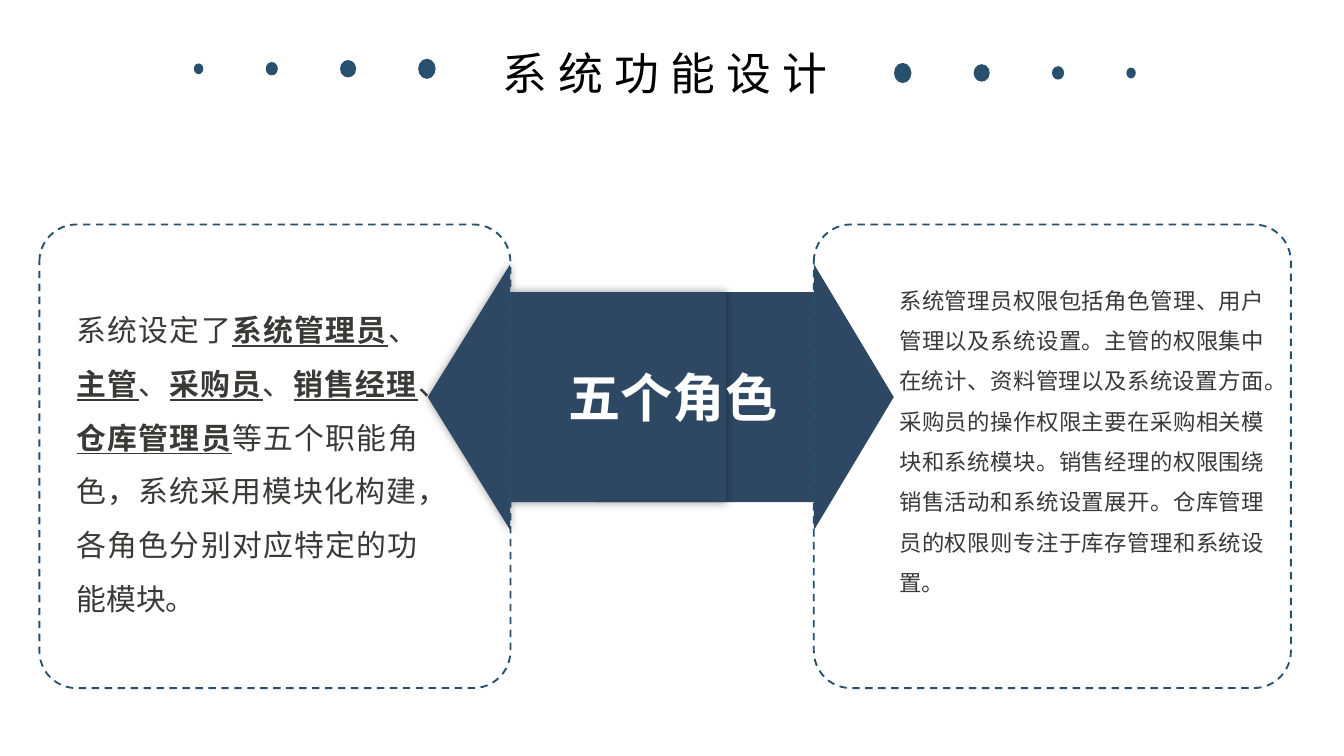
from copy import deepcopy
from dataclasses import dataclass

from lxml.etree import SubElement
from pptx import Presentation
from pptx.dml.color import RGBColor
from pptx.enum.dml import MSO_LINE
from pptx.enum.shapes import MSO_SHAPE
from pptx.enum.text import MSO_AUTO_SIZE, PP_ALIGN
from pptx.oxml.ns import qn
from pptx.util import Inches, Pt


@dataclass(frozen=True)
class Theme:
    font: str = "Noto Sans CJK SC"
    accent: str = "27506E"
    arrow: str = "2E4864"
    body: str = "3B3838"
    title: str = "000000"
    light: str = "FFFFFF"
    title_size: int = 24
    label_size: int = 28
    roles_size: int = 16
    rights_size: int = 12


class SlideBuilder:
    CELL = 0.1

    def __init__(self, prs, theme):
        self.theme = theme
        self.s = prs.slides.add_slide(prs.slide_layouts[6])

    def place(self, *box):
        return [Inches(v * self.CELL) for v in box]

    def shape(self, kind, box, fill=None, adjustments=()):
        sp = self.s.shapes.add_shape(kind, *self.place(*box))
        sp.shadow.inherit = False
        for i, value in enumerate(adjustments):
            sp.adjustments[i] = value
        if fill:
            sp.fill.solid()
            sp.fill.fore_color.rgb = RGBColor.from_string(fill)
        else:
            sp.fill.background()
        sp.line.fill.background()
        return sp

    def dot(self, cx, cy, w, h):
        self.shape(MSO_SHAPE.OVAL, (cx - w / 2, cy - h / 2, w, h), self.theme.accent)

    def arrow(self, col, head, left=False):
        sp = self.shape(MSO_SHAPE.RIGHT_ARROW, (col, 19.65, 22.2, 19.8),
                        self.theme.arrow, (0.79, head))
        if left:
            sp._element.spPr.find(qn("a:xfrm")).set("flipH", "1")
            effects = sp._element.spPr.find(qn("a:effectLst"))
            shadow = SubElement(effects, qn("a:outerShdw"), blurRad=str(Pt(5)),
                                dist="0", dir="0", algn="ctr", rotWithShape="0")
            color = SubElement(shadow, qn("a:srgbClr"), val="000000")
            SubElement(color, qn("a:alpha"), val="40000")

    def card(self, col, width):
        sp = self.shape(MSO_SHAPE.ROUNDED_RECTANGLE, (col, 16.7, width, 34.5),
                        adjustments=(0.08,))
        sp.line.color.rgb = RGBColor.from_string(self.theme.accent)
        sp.line.width = Pt(1)
        sp.line.dash_style = MSO_LINE.DASH

    def text(self, box, runs, size, color, align, spacing=None, bold=None,
             tracking=None, inset=False):
        tf = self.s.shapes.add_textbox(*self.place(*box)).text_frame
        tf.word_wrap = not inset
        tf.auto_size = MSO_AUTO_SIZE.SHAPE_TO_FIT_TEXT
        if not inset:
            tf.margin_left = tf.margin_right = tf.margin_top = tf.margin_bottom = 0
        p = tf.paragraphs[0]
        p.alignment = align
        p.line_spacing = spacing
        p.font.name = self.theme.font
        p.font.size = Pt(size)
        p.font.bold = bold
        p.font.color.rgb = RGBColor.from_string(color)
        style = p._p.pPr.find(qn("a:defRPr"))
        SubElement(style, qn("a:ea"), typeface=self.theme.font)
        if tracking:
            style.set("spc", str(tracking * 100))
        for content, emphasis in runs:
            r = p.add_run()
            r.text = content
            rPr = r._r.get_or_add_rPr()
            rPr.attrib.update(style.attrib)
            rPr.extend(deepcopy(child) for child in style)
            if emphasis:
                r.font.bold = r.font.underline = True


def main():
    prs = Presentation()
    prs.slide_width = Inches(10)
    prs.slide_height = prs.slide_width * 9 // 16
    theme = Theme()
    b = SlideBuilder(prs, theme)

    dots = [(14.78, 0.7, 0.8), (20.22, 0.9, 1), (25.9, 1.2, 1.3), (31.77, 1.3, 1.5)]
    for cx, w, h in dots:
        b.dot(cx, 5.12, w, h)
        b.dot(98.94 - cx, 5.43, w, h)
    b.text((36, 2.9, 27, 5), [("系统功能设计", False)], theme.title_size,
           theme.title, PP_ALIGN.CENTER, tracking=6, inset=True)

    b.arrow(44.3, 0.3)
    b.arrow(31.83, 0.31, left=True)

    rights = ("系统管理员权限包括角色管理、用户管理以及系统设置。"
              "主管的权限集中在统计、资料管理以及系统设置方面。"
              "采购员的操作权限主要在采购相关模块和系统模块。"
              "销售经理的权限围绕销售活动和系统设置展开。"
              "仓库管理员的权限则专注于库存管理和系统设置。")
    b.text((66.9, 20.35, 27.2, 24.2), [(rights, False)], theme.rights_size,
           theme.body, PP_ALIGN.JUSTIFY, spacing=1.5)

    roles = [("系统设定了", False)]
    for role in ("系统管理员", "主管", "采购员", "销售经理"):
        roles += [(role, True), ("、", False)]
    roles += [("仓库管理员", True),
              ("等五个职能角色，系统采用模块化构建，各角色分别对应特定的功能模块。", False)]
    b.text((5.7, 21.87, 25.4, 24.2), roles, theme.roles_size,
           theme.body, PP_ALIGN.JUSTIFY, spacing=1.5)

    b.card(60.55, 35.5)
    b.card(2.93, 35.05)
    b.text((42.13, 27.2, 15.7, 4.7), [("五个角色", False)], theme.label_size,
           theme.light, PP_ALIGN.RIGHT, bold=True)
    prs.save("out.pptx")


if __name__ == "__main__":
    main()
